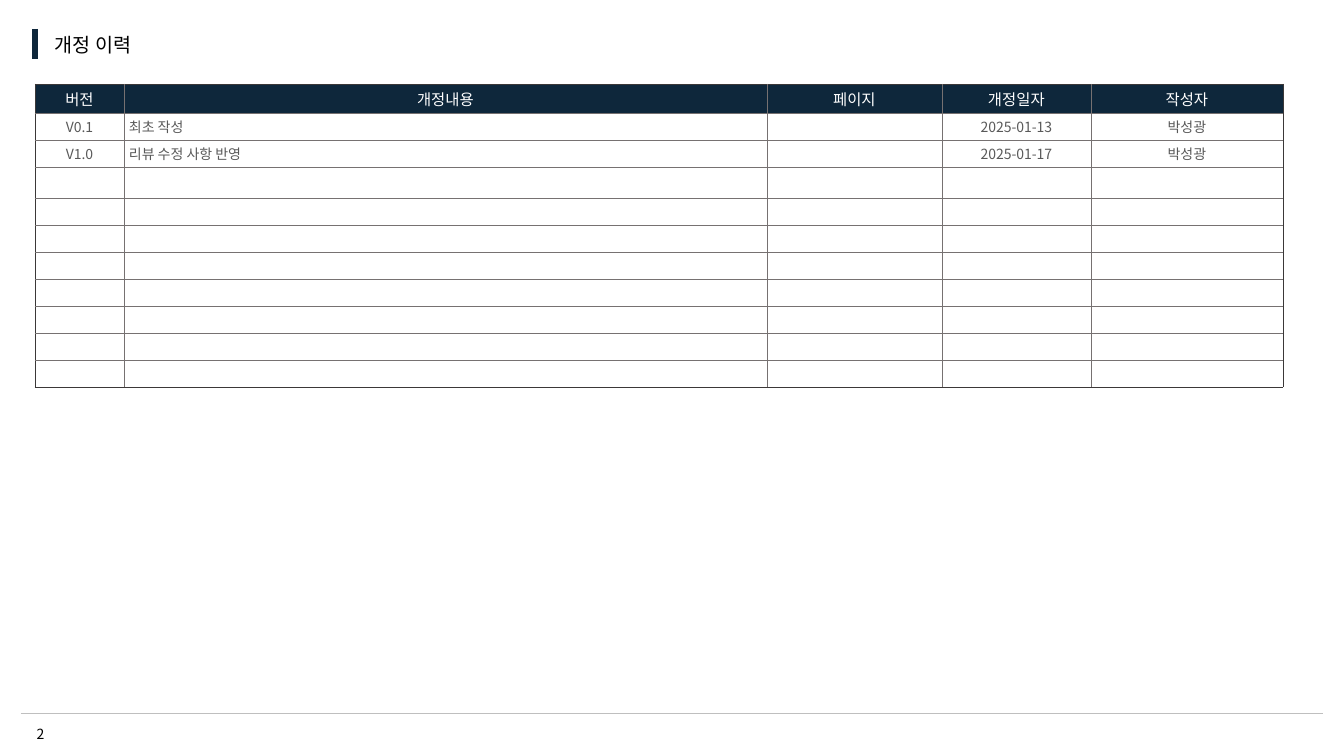
"""Build the revision history slide."""
import pptx
import pptx.util
import pptx.dml.color
import pptx.enum.shapes
import pptx.enum.text
import pptx.oxml.ns
import lxml.etree

PX = 914400 / 100.8
FONT = "Noto Sans CJK KR"
NAVY, GRAY, DARK = "0E273B", "767171", "3B3838"
ALIGN = pptx.enum.text.PP_ALIGN
MIDDLE = pptx.enum.text.MSO_ANCHOR.MIDDLE
rgb = pptx.dml.color.RGBColor.from_string
qn = pptx.oxml.ns.qn


def px(n):
    return pptx.util.Emu(round(n * PX))


def write(para, text, size, color, align):
    para.alignment = align
    run = para.add_run()
    run.text = text
    run.font.size = pptx.util.Pt(size)
    run.font.name = FONT
    run.font.color.rgb = rgb(color)
    face = lxml.etree.SubElement(run.font._element, qn("a:ea"))
    face.set("typeface", FONT)


deck = pptx.Presentation()
deck.slide_width, deck.slide_height = px(1344), px(756)
slide = deck.slides.add_slide(deck.slide_layouts[6])
shapes = slide.shapes

labels = [
    ("2", (13, 720, 55, 27), 10, ALIGN.CENTER, False),
    ("개정 이력", (45, 29, 140, 32), 14, ALIGN.LEFT, True),
]
for text, area, size, align, wrap in labels:
    frame = shapes.add_textbox(*map(px, area)).text_frame
    frame.word_wrap = wrap
    frame.vertical_anchor = MIDDLE
    write(frame.paragraphs[0], text, size, "000000", align)

widths = [89, 643, 175, 149, 192]
heights = [29, 27, 27, 31] + [27] * 7
rows = [
    ["버전", "개정내용", "페이지", "개정일자", "작성자"],
    ["V0.1", "최초 작성", "", "2025-01-13", "박성광"],
    ["V1.0", "리뷰 수정 사항 반영", "", "2025-01-17", "박성광"],
]
rows += [[""] * len(widths)] * (len(heights) - len(rows))
last_row, last_col = len(heights) - 1, len(widths) - 1

table = shapes.add_table(len(heights), len(widths), px(35), px(84),
                         px(sum(widths)), px(sum(heights))).table
table.first_row = table.horz_banding = False
for col, width in zip(table.columns, widths):
    col.width = px(width)
for row, height in zip(table.rows, heights):
    row.height = px(height)

for r, row in enumerate(rows):
    for c, text in enumerate(row):
        cell = table.cell(r, c)
        head = r == 0
        cell.fill.solid()
        cell.fill.fore_color.rgb = rgb(NAVY if head else "FFFFFF")
        cell.vertical_anchor = MIDDLE
        cell.margin_left = cell.margin_right = px(5)
        cell.margin_top = cell.margin_bottom = px(3)
        para = cell.text_frame.paragraphs[0]
        if text:
            align = ALIGN.LEFT if c == 1 and not head else ALIGN.CENTER
            write(para, text, 11 if head else 10,
                  "FFFFFF" if head else "595959", align)
        else:
            end = lxml.etree.SubElement(para._p, qn("a:endParaRPr"))
            end.set("sz", "1000")
        props = cell._tc.get_or_add_tcPr()
        edges = [("L", c == 0), ("R", c == last_col),
                 ("T", r == 0), ("B", r == last_row)]
        for i, (side, outer) in enumerate(edges):
            line = lxml.etree.Element(qn("a:ln" + side), w="3175")
            fill = lxml.etree.SubElement(line, qn("a:solidFill"))
            color = lxml.etree.SubElement(fill, qn("a:srgbClr"))
            color.set("val", DARK if outer else GRAY)
            props.insert(i, line)

rules = [
    ((21, 714, 1323, 714), "BFBFBF", 0.75),
    ((35, 29, 35, 59), NAVY, 4.5),
]
for ends, color, width in rules:
    rule = shapes.add_connector(pptx.enum.shapes.MSO_CONNECTOR.STRAIGHT,
                                *map(px, ends))
    rule.line.color.rgb = rgb(color)
    rule.line.width = pptx.util.Pt(width)
    lxml.etree.SubElement(rule._element.spPr, qn("a:effectLst"))

deck.save("out.pptx")
